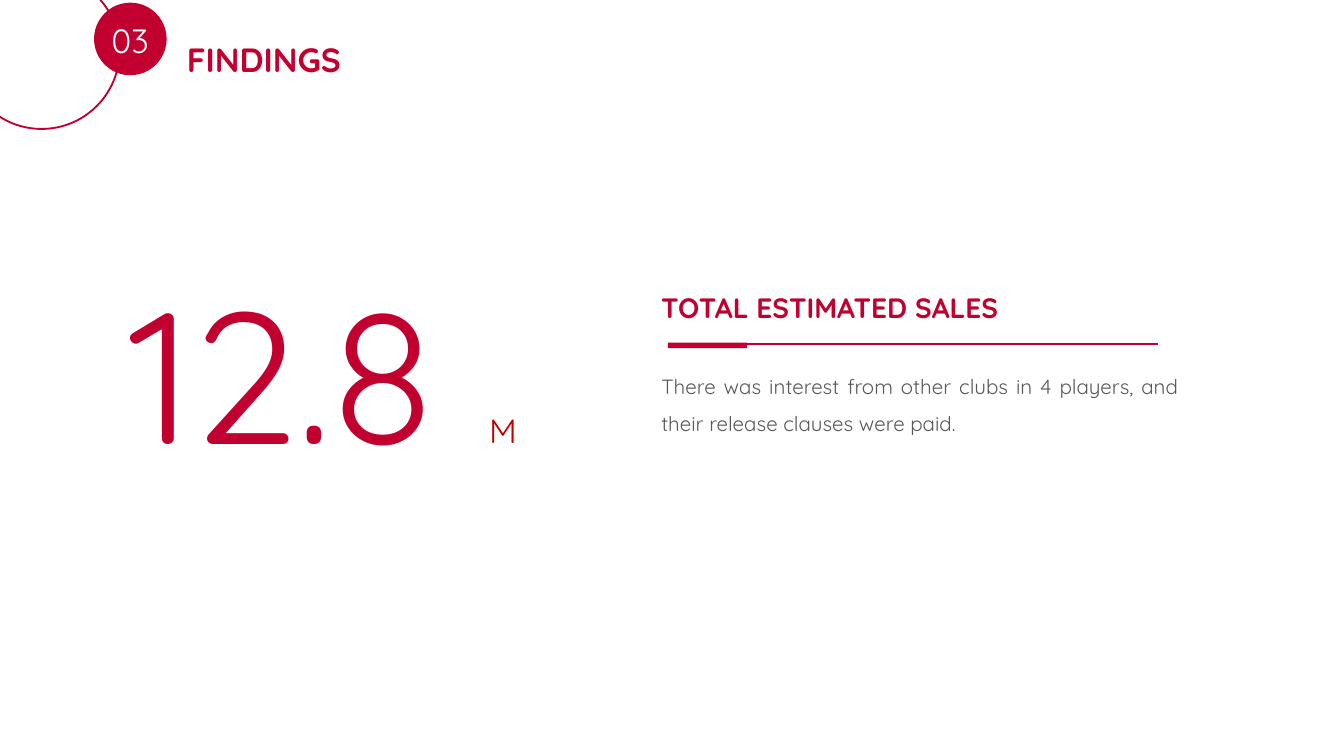
from lxml import etree
from pptx import Presentation
from pptx import util as u
from pptx.dml.color import RGBColor
from pptx.enum import shapes, text
from pptx.oxml import ns

FONT = "Quicksand"
RED = "C2002F"


def rgb(value):
    return RGBColor.from_string(value)


def box(*lengths):
    return [u.Inches(n) for n in lengths]


def write(sp, words, size, color, bold=False, spacing=1.0, align=text.PP_ALIGN.JUSTIFY,
          inset=(0.07, 0.04)):
    tf = sp.text_frame
    tf.text = words
    tf.word_wrap = True
    tf.auto_size = text.MSO_AUTO_SIZE.NONE
    tf.vertical_anchor = text.MSO_ANCHOR.TOP
    tf.margin_left = tf.margin_right = u.Inches(inset[0])
    tf.margin_top = tf.margin_bottom = u.Inches(inset[1])
    p = tf.paragraphs[0]
    p.alignment = align
    p.line_spacing = spacing
    p.space_before = u.Pt(0)
    font = p.runs[0].font
    font.name = FONT
    font.size = u.Pt(size)
    font.bold = bold
    font.color.rgb = rgb(color)


def add_title(s, words, place):
    sp = s.shapes.title
    sp.left, sp.top, sp.width, sp.height = box(*place)
    write(sp, words, 18, RED, bold=True)


def add_text(s, words, place, size, color, **style):
    write(s.shapes.add_textbox(*box(*place)), words, size, color, **style)


def add_shape(s, kind, place, fill=None, line=None):
    sp = s.shapes.add_shape(kind, *box(*place))
    sp.shadow.inherit = False
    if fill:
        sp.fill.solid()
        sp.fill.fore_color.rgb = rgb(fill)
    else:
        sp.fill.background()
    if line:
        sp.line.color.rgb = rgb(line)
        sp.line.width = u.Pt(1)
    else:
        sp.line.fill.background()


def add_line(s, ends, color, width):
    line = s.shapes.add_connector(shapes.MSO_CONNECTOR.STRAIGHT, *box(*ends))
    line.line.color.rgb = rgb(color)
    line.line.width = u.Pt(width)
    etree.SubElement(line._element.spPr, ns.qn("a:effectLst"))


def main():
    prs = Presentation()
    prs.slide_width = u.Inches(10)
    prs.slide_height = u.Inches(10 * 9 / 16)
    s = prs.slides.add_slide(prs.slide_layouts[5])
    rect, oval = shapes.MSO_SHAPE.RECTANGLE, shapes.MSO_SHAPE.OVAL

    add_title(s, "FINDINGS", (1.32, 0.25, 2.7, 0.38))
    add_text(s, "12.8", (0.89, 1.88, 2.86, 1.63), 100, RED)
    add_text(s, "M", (3.54, 3, 0.41, 0.4), 18, "C00000",
             align=text.PP_ALIGN.LEFT, inset=(0.1, 0.05))
    add_text(s, "TOTAL ESTIMATED SALES", (4.85, 2.12, 3.67, 0.33), 15, RED, bold=True)
    add_text(s, "There was interest from other clubs in 4 players, "
             "and their release clauses were paid.",
             (4.85, 2.65, 3.99, 1.64), 11, "595959", spacing=1.5)
    add_shape(s, rect, (4.97, 2.55, 0.59, 0.04), fill=RED)
    add_line(s, (5.53, 2.56, 8.62, 2.56), RED, 0.75)
    add_shape(s, oval, (0.7, 0.02, 0.54, 0.54), fill=RED)
    add_shape(s, oval, (-0.27, -0.2, 1.16, 1.16), line=RED)
    add_text(s, "03", (0.76, 0.11, 0.43, 0.38), 18, "FFFFFF")

    prs.save("out.pptx")


if __name__ == "__main__":
    main()
